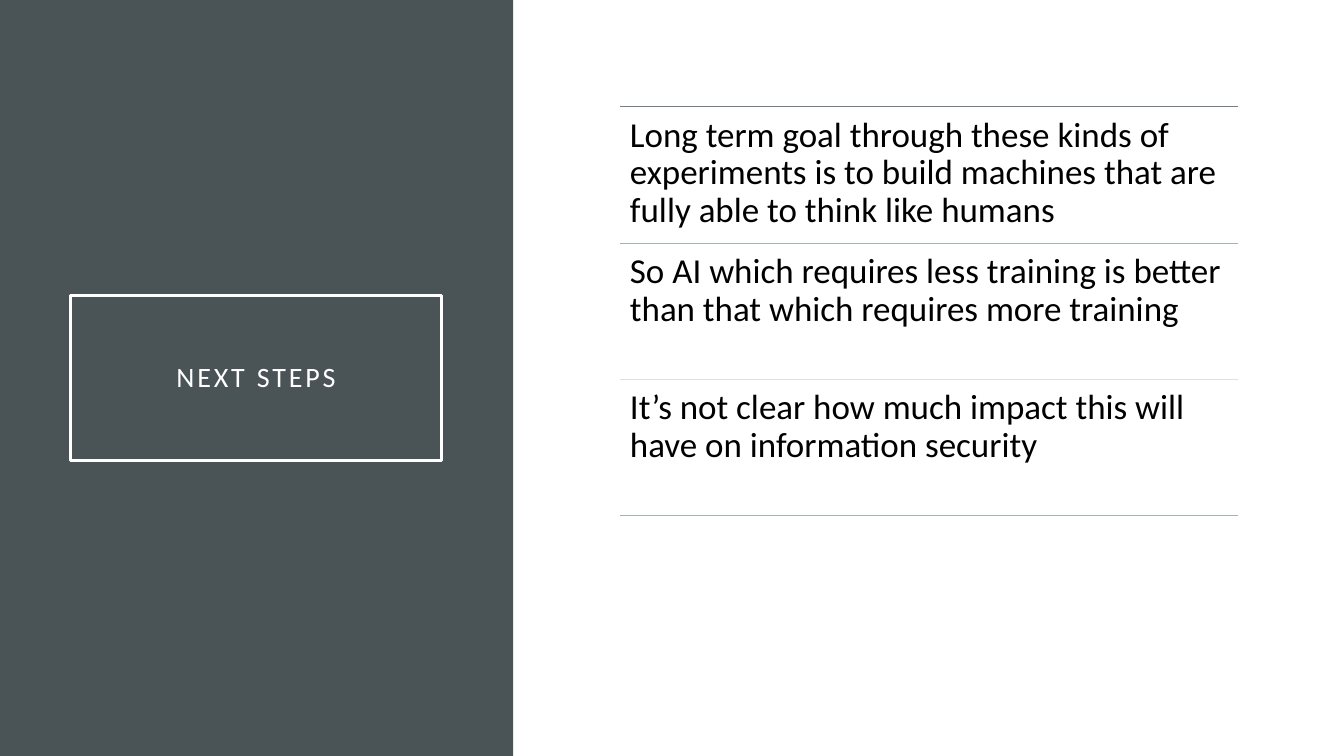
from dataclasses import dataclass

from lxml.etree import SubElement
from pptx import Presentation
from pptx.dml.color import RGBColor
from pptx.enum.shapes import MSO_CONNECTOR as Connector, MSO_SHAPE as Shape
from pptx.enum.text import MSO_ANCHOR as Anchor, MSO_AUTO_SIZE as AutoSize, PP_ALIGN as Align
from pptx.oxml.ns import qn
from pptx.util import Emu, Pt

PX = 9144
STEPS_LEFT, STEPS_TOP = 615, 106
STEP_WIDTH, STEP_HEIGHT = 613, 135
CLOSING_RULE = "A6B2B6"


@dataclass
class Step:
    wording: str
    rule: str


STEPS = [
    Step("Long term goal through these kinds of experiments is to build machines "
         "that are fully able to think like humans", "738186"),
    Step("So AI which requires less training is better than that which requires "
         "more training", "A6B2B6"),
    Step("It’s not clear how much impact this will have on information security",
         "DCE1E3"),
]


def px(length: int) -> Emu:
    return Emu(length * PX)


def color(value: str) -> RGBColor:
    return RGBColor.from_string(value)


def write(shape, wording: str, *, size: int, ink: str, inset: int,
          align=Align.LEFT, anchor=Anchor.TOP, tracking: int = 0) -> None:
    frame = shape.text_frame
    frame.word_wrap = True
    frame.auto_size = AutoSize.NONE
    frame.vertical_anchor = anchor
    frame.margin_left = frame.margin_right = px(inset)
    frame.margin_top = frame.margin_bottom = px(inset)
    paragraph = frame.paragraphs[0]
    paragraph.alignment = align
    paragraph.line_spacing = 0.9
    run = paragraph.add_run()
    run.text = wording
    run.font.name = "Calibri"
    run.font.size = Pt(size)
    run.font.color.rgb = color(ink)
    if tracking:
        run.font._element.set("spc", str(tracking * 100))


def draw_rule(slide, top: int, ink: str) -> None:
    rule = slide.shapes.add_connector(
        Connector.STRAIGHT, px(STEPS_LEFT), px(top),
        px(STEPS_LEFT + STEP_WIDTH), px(top))
    rule.line.color.rgb = color(ink)
    rule.line.width = Pt(0.5)
    SubElement(rule._element.spPr, qn("a:effectLst"))


def draw_step(slide, step: Step, top: int) -> None:
    draw_rule(slide, top, step.rule)
    box = slide.shapes.add_textbox(
        px(STEPS_LEFT), px(top), px(STEP_WIDTH), px(STEP_HEIGHT))
    write(box, step.wording, size=25, ink="000000", inset=10)


def draw_heading(slide) -> None:
    heading = slide.shapes.title
    heading.left, heading.top = px(70), px(293)
    heading.width, heading.height = px(368), px(164)
    heading.line.color.rgb = color("FFFFFF")
    heading.line.width = Pt(2.5)
    write(heading, "NEXT STEPS", size=20, ink="FFFFFF", inset=20,
          align=Align.CENTER, anchor=Anchor.MIDDLE, tracking=2)

    panel = slide.shapes.add_shape(Shape.RECTANGLE, 0, 0, px(509), px(750))
    panel.shadow.inherit = False
    panel.fill.solid()
    panel.fill.fore_color.rgb = color("4A5356")
    panel.line.fill.background()
    heading.element.addprevious(panel.element)


def main() -> None:
    deck = Presentation()
    deck.slide_width, deck.slide_height = px(1333), px(750)
    slide = deck.slides.add_slide(deck.slide_layouts[5])
    draw_heading(slide)
    for index, step in enumerate(STEPS):
        draw_step(slide, step, STEPS_TOP + index * STEP_HEIGHT)
    draw_rule(slide, STEPS_TOP + len(STEPS) * STEP_HEIGHT, CLOSING_RULE)
    deck.save("out.pptx")


if __name__ == "__main__":
    main()
